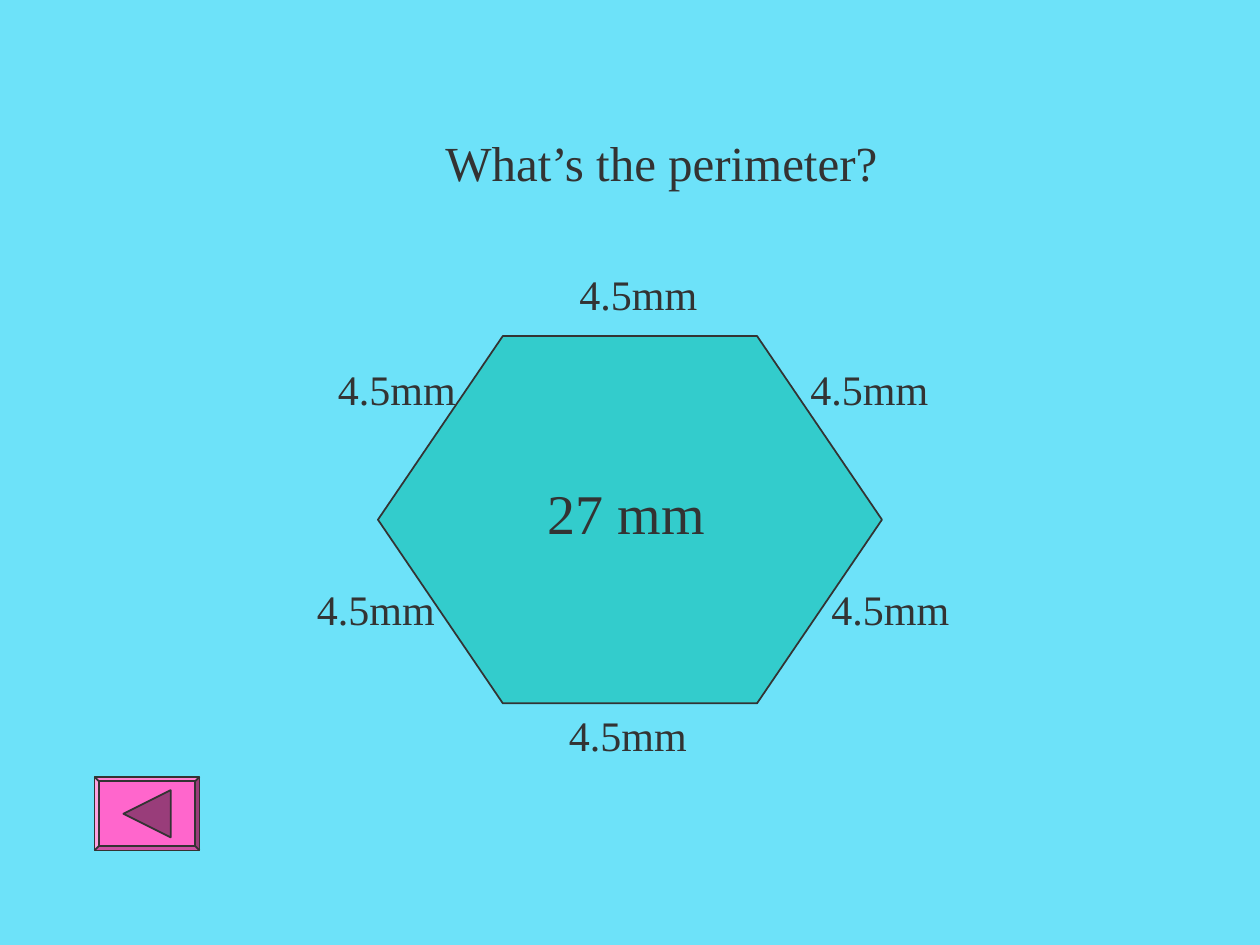
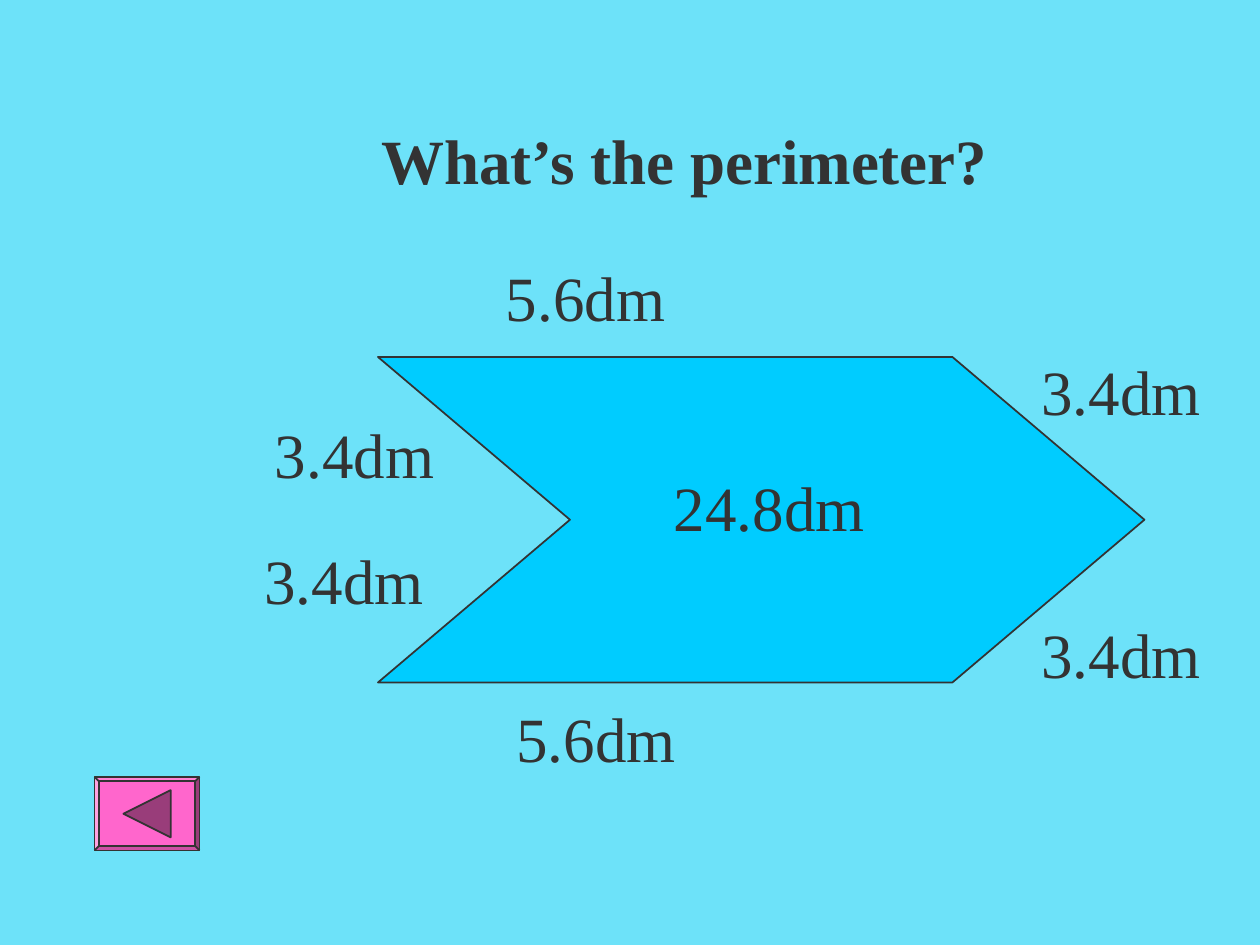
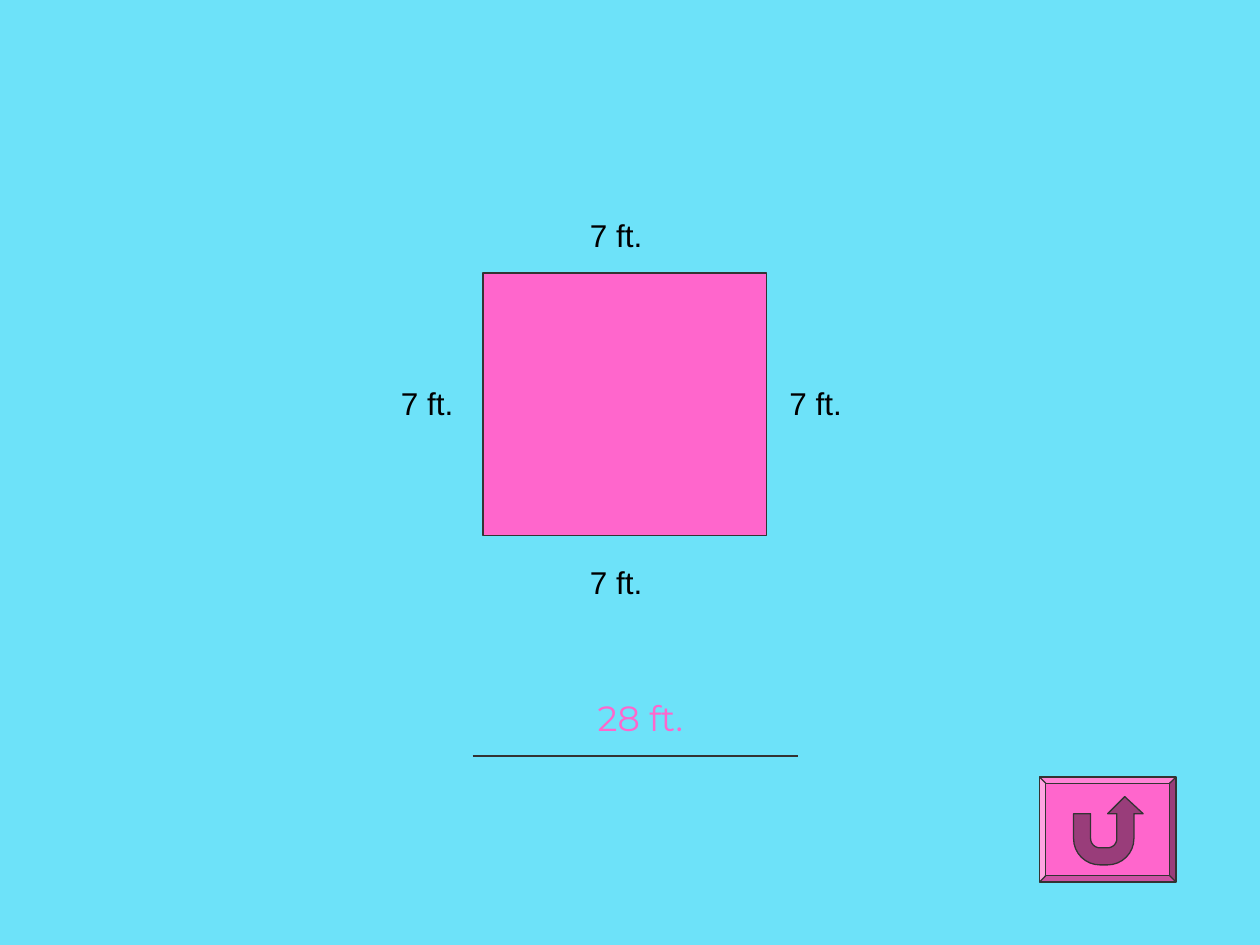
import math
from typing import NamedTuple

import pptx
import pptx.dml.color
import pptx.enum.shapes
import pptx.enum.text
import pptx.oxml
import pptx.oxml.ns
import pptx.util
from lxml import etree

EMU_PER_PX = 9525
SKY = "6DE2F9"
TEAL = "33CCCC"
AZURE = "00CCFF"
PINK = "FF66CC"
PLUM = "993D7A"
INK = "333333"
BLACK = "000000"
SERIF = "Times New Roman"
QUESTION = "What’s the perimeter?"

SHAPES = pptx.enum.shapes.MSO_SHAPE
Point = tuple[float, float]


class Box(NamedTuple):
    left: int
    top: int
    width: int
    height: int


class SideLength(NamedTuple):
    text: str
    box: Box


def px(length: float) -> pptx.util.Emu:
    return pptx.util.Emu(round(length * EMU_PER_PX))


def rgb(colour: str) -> pptx.dml.color.RGBColor:
    return pptx.dml.color.RGBColor.from_string(colour)


def paint(shape, fill: str, line_width: float = 1) -> None:
    shape.shadow.inherit = False
    shape.fill.solid()
    shape.fill.fore_color.rgb = rgb(fill)
    shape.line.color.rgb = rgb(INK)
    shape.line.width = pptx.util.Pt(line_width)


def add_figure(slide, preset, box: Box, fill: str, adjust: float | None = None,
               line_width: float = 1) -> None:
    figure = slide.shapes.add_shape(preset, *map(px, box))
    if adjust is not None:
        figure.adjustments[0] = adjust
    paint(figure, fill, line_width)


def add_outline(slide, points: list[Point], fill: str, line_width: float = 1) -> None:
    start, *others = [(px(x), px(y)) for x, y in points]
    builder = slide.shapes.build_freeform(*start, scale=1.0)
    builder.add_line_segments(others, close=True)
    paint(builder.convert_to_shape(), fill, line_width)


def add_text(slide, text: str, box: Box, *, size: int, font: str = SERIF,
             colour: str = INK, bold: bool = False, centred: bool = False,
             middle: bool = False, outlined: bool = False) -> None:
    frame = slide.shapes.add_textbox(*map(px, box)).text_frame
    frame.word_wrap = True
    if middle:
        frame.vertical_anchor = pptx.enum.text.MSO_ANCHOR.MIDDLE
    paragraph = frame.paragraphs[0]
    if centred:
        paragraph.alignment = pptx.enum.text.PP_ALIGN.CENTER
    run = paragraph.add_run()
    run.text = text
    run.font.size = pptx.util.Pt(size)
    run.font.name = font
    run.font.bold = bold
    run.font.color.rgb = rgb(colour)
    if outlined:
        run._r.get_or_add_rPr().insert(0, pptx.oxml.parse_xml(
            f'<a:ln {pptx.oxml.ns.nsdecls("a")} w="{pptx.util.Pt(0.75)}">'
            f'<a:solidFill><a:srgbClr val="{BLACK}"/></a:solidFill></a:ln>'))


def add_side_lengths(slide, sides: list[SideLength], **text_format) -> None:
    for side in sides:
        add_text(slide, side.text, side.box, **text_format)


def add_button(slide, box: Box, symbol: list[Point], line_width: float = 1) -> None:
    add_figure(slide, SHAPES.BEVEL, box, PINK, 0.06, line_width)
    add_outline(slide, symbol, PLUM, line_width)


def add_back_button(slide) -> None:
    add_button(slide, Box(72, 592, 80, 56), [(94, 620), (130, 602), (130, 638)])


def arc(x: int, y: int, radius: int, start: int, end: int) -> list[Point]:
    """Points of a quarter turn around (x, y), angles in degrees, y downwards."""
    steps = 8
    angles = [math.radians(start + (end - start) * i / steps) for i in range(steps + 1)]
    return [(x + radius * math.cos(a), y + radius * math.sin(a)) for a in angles]


def add_return_button(slide) -> None:
    left, right, bend = 838, 844, 639
    inner, outer = 7, 20
    shoulder = 620
    u_turn = [
        (left - outer, shoulder), (left - inner, shoulder),
        *arc(left, bend, inner, 180, 90), *arc(right, bend, inner, 90, 0),
        (right + inner, shoulder), (844, shoulder), (857, 607), (871, shoulder),
        (right + outer, shoulder),
        *arc(right, bend, outer, 0, 90), *arc(left, bend, outer, 90, 180),
    ]
    add_button(slide, Box(792, 592, 104, 80), u_turn, line_width=0.75)


def add_answer_line(slide) -> None:
    rule = slide.shapes.add_connector(pptx.enum.shapes.MSO_CONNECTOR.STRAIGHT,
                                      px(360), px(576), px(608), px(576))
    rule.line.color.rgb = rgb(INK)
    rule.line.width = pptx.util.Pt(1)
    etree.SubElement(rule._element.spPr, pptx.oxml.ns.qn("a:effectLst"))


def build_hexagon(slide) -> None:
    add_figure(slide, SHAPES.HEXAGON, Box(288, 256, 384, 280), TEAL, 0.34)
    corners = [(608, 272), (624, 440), (424, 536), (432, 200), (248, 272), (232, 440)]
    sides = [SideLength("4.5mm", Box(x, y, 120, 48)) for x, y in corners]
    add_side_lengths(slide, sides, size=24)
    add_text(slide, QUESTION, Box(136, 96, 736, 55), size=28, centred=True)
    add_text(slide, "27 mm", Box(408, 360, 168, 61), size=32)
    add_back_button(slide)


def build_chevron(slide) -> None:
    add_back_button(slide)
    add_figure(slide, SHAPES.CHEVRON, Box(288, 272, 584, 248), AZURE, 0.59)
    straight = [(376, 192), (384, 528)]
    slanted = [(784, 264), (784, 464), (200, 312), (192, 408)]
    sides = [
        *(SideLength("5.6dm", Box(x, y, 152, 67)) for x, y in straight),
        *(SideLength("3.4dm", Box(x, y, 152, 67)) for x, y in slanted),
    ]
    add_side_lengths(slide, sides, size=36)
    add_text(slide, "24.8dm", Box(504, 352, 216, 67), size=36)
    add_text(slide, QUESTION, Box(281, 88, 490, 67), size=36, bold=True)


def build_square(slide) -> None:
    add_figure(slide, SHAPES.RECTANGLE, Box(368, 208, 216, 200), PINK)
    corners = [(440, 160), (592, 288), (296, 288), (440, 424)]
    sides = [SideLength("7 ft.", Box(x, y, 64, 33)) for x, y in corners]
    add_side_lengths(slide, sides, size=18, font="Arial", colour=BLACK, outlined=True)
    add_answer_line(slide)
    add_text(slide, "28 ft.", Box(446, 520, 96, 54), size=20, font="Montserrat",
             colour=PINK, middle=True, outlined=True)
    add_return_button(slide)


def main() -> None:
    deck = pptx.Presentation()
    deck.slide_width, deck.slide_height = px(960), px(720)
    backdrop = deck.slide_master.background.fill
    backdrop.solid()
    backdrop.fore_color.rgb = rgb(SKY)
    blank = deck.slide_layouts[6]
    for build in (build_hexagon, build_chevron, build_square):
        build(deck.slides.add_slide(blank))
    deck.save("out.pptx")


if __name__ == "__main__":
    main()
